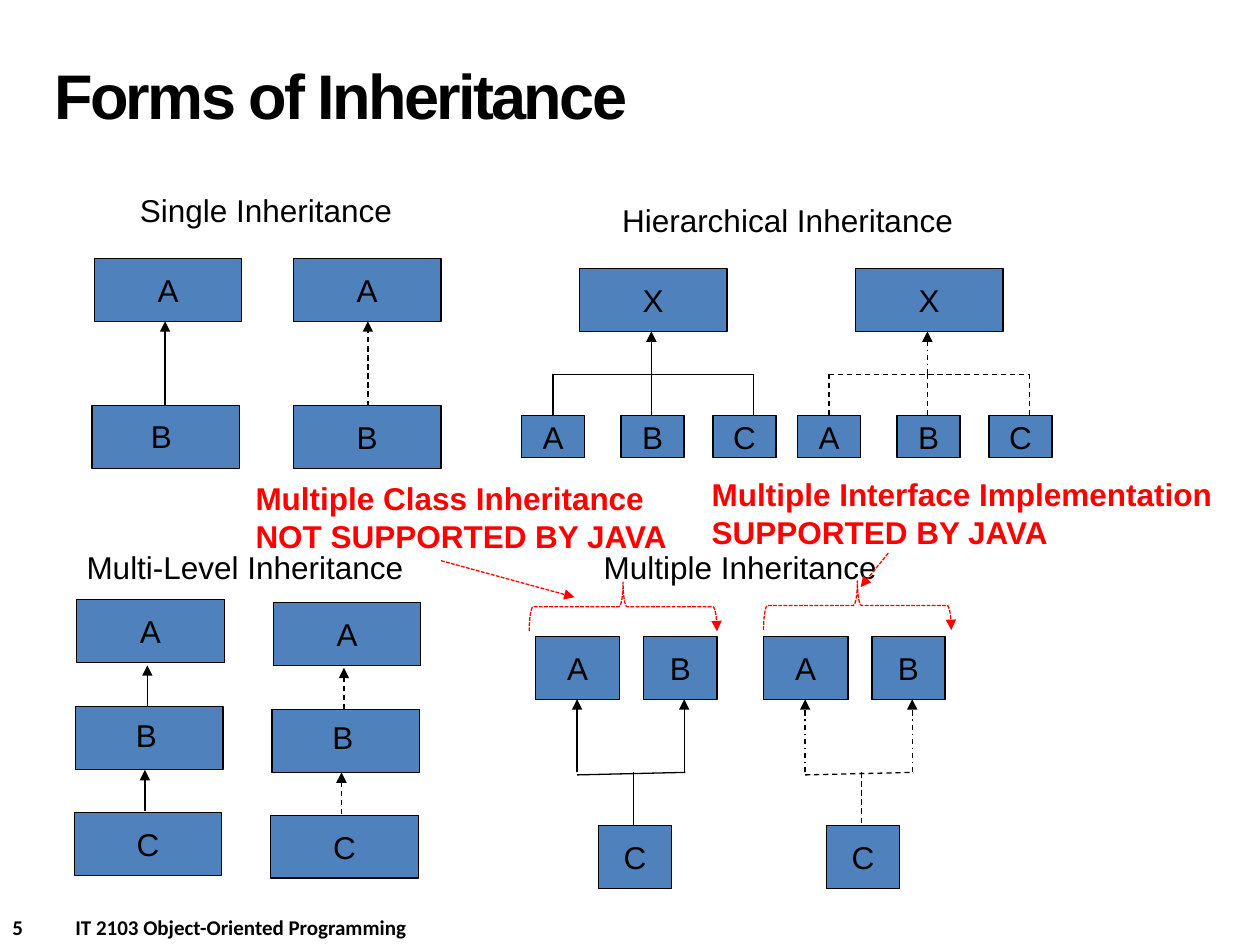
"""Builds the slide that compares the forms of inheritance."""
from dataclasses import dataclass

from lxml import etree
from pptx import Presentation
from pptx.dml.color import RGBColor
from pptx.enum import dml, shapes, text
from pptx.oxml import ns
from pptx.util import Inches, Pt


@dataclass(frozen=True)
class Theme:
    ink: RGBColor = RGBColor(0, 0, 0)
    alert: RGBColor = RGBColor(255, 0, 0)
    fill: RGBColor = RGBColor(0x4F, 0x81, 0xBD)
    font: str = "Arial"
    footer_font: str = "Calibri"
    title: int = 36
    body: int = 18
    footer: int = 12
    stroke: float = 0.75


theme = Theme()
DASH = dml.MSO_LINE.DASH
DASH_DOT = dml.MSO_LINE.DASH_DOT
SHORT_DASH = dml.MSO_LINE.SQUARE_DOT
CENTER = text.PP_ALIGN.CENTER
LEFT = text.PP_ALIGN.LEFT


def write(frame, lines, align=LEFT, size=theme.body, color=theme.ink, bold=False, font=theme.font):
    frame.text = "\n".join(lines)
    for para in frame.paragraphs:
        para.alignment = align
        para.font.name = font
        para.font.size = Pt(size)
        para.font.bold = bold
        para.font.color.rgb = color


def stroke(shape, color=theme.ink, dash=None, arrow=False):
    shape.line.color.rgb = color
    shape.line.width = Pt(theme.stroke)
    if dash:
        shape.line.dash_style = dash
    if arrow:
        etree.SubElement(shape.line._get_or_add_ln(), ns.qn("a:tailEnd"), type="triangle")


deck = Presentation()
deck.slide_width, deck.slide_height = Inches(10), Inches(7.5)
page = deck.slides.add_slide(deck.slide_layouts[5])

title = page.shapes.title
title.left, title.top, title.width, title.height = map(Inches, (0.33, 0.17, 6.92, 1.25))
title.text_frame.vertical_anchor = text.MSO_ANCHOR.MIDDLE
title.text_frame.auto_size = text.MSO_AUTO_SIZE.NONE
write(title.text_frame, ["Forms of Inheritance"], size=theme.title, bold=True)
title_para = title.text_frame.paragraphs[0]
title_para.line_spacing = Pt(36)
title_para.runs[0].font._element.set("spc", "-150")

footer = page.shapes.add_textbox(Inches(0), Inches(7.21), Inches(5), Inches(0.3))
footer.text_frame.word_wrap = True
footer_para = footer.text_frame.paragraphs[0]
tabs = etree.SubElement(footer_para._p.get_or_add_pPr(), ns.qn("a:tabLst"))
etree.SubElement(tabs, ns.qn("a:tab"), pos=str(Inches(0.46)), algn="l")
write(footer.text_frame, ["5\tIT 2103 Object-Oriented Programming"],
      size=theme.footer, bold=True, font=theme.footer_font)

headings = [
    ("Single Inheritance", 0.72, 1.47, 2.78),
    ("Hierarchical Inheritance", 4.14, 1.55, 4.22),
    ("Multi-Level Inheritance", 0.58, 4.3, 2.73),
    ("Multiple Inheritance", 4.25, 4.3, 3.25),
]
boxes = [
    ("A", 0.75, 2.05, 1.17, 0.5),
    ("", 0.73, 3.22, 1.17, 0.5),
    ("A", 2.33, 2.05, 1.17, 0.5),
    ("B", 2.33, 3.22, 1.17, 0.5),
]
loose_labels = [(1.1, 3.26)]
links = [
    (1.31, 3.22, 1.31, 2.55, None, True),
    (2.92, 3.22, 2.92, 2.55, DASH, True),
]

for dx, branch, trunk in [(0, None, None), (2.19, DASH, DASH_DOT)]:
    boxes.append(("X", 4.6 + dx, 2.13, 1.17, 0.5))
    boxes += [(name, x + dx, 3.3, 0.5, 0.33) for name, x in zip("ABC", (4.14, 4.93, 5.66))]
    links.append((5.17 + dx, 2.97, 5.17 + dx, 2.63, trunk, True))
    links.append((4.39 + dx, 2.97, 5.98 + dx, 2.97, branch, False))
    links += [(x + dx, 2.97, x + dx, 3.3, branch, False) for x in (4.39, 5.17, 5.98)]

for dx, dy, dash in [(0, 0, None), (1.56, 0.02, DASH)]:
    for name, x, y in [("A", 0.61, 4.76), ("", 0.6, 5.61), ("C", 0.59, 6.45)]:
        boxes.append((name, x + dx, y + dy, 1.17, 0.5))
    loose_labels.append((0.98 + dx, 5.63 + dy))
    for x, y in [(1.17, 5.61), (1.15, 6.44)]:
        links.append((x + dx, y + dy, x + dx, y + dy - 0.33, dash, True))

for dx, branch, trunk in [(0, None, None), (1.81, DASH_DOT, DASH)]:
    for name, x, y, width in [("A", 4.25, 5.05, 0.67), ("B", 5.11, 5.05, 0.58), ("C", 4.75, 6.55, 0.58)]:
        boxes.append((name, x + dx, y, width, 0.5))
    links += [(x + dx, 6.13, x + dx, 5.55, branch, True) for x in (4.58, 5.43)]
    links.append((4.58 + dx, 6.15, 5.44 + dx, 6.13, trunk, False))
    links.append((5.03 + dx, 6.13, 5.03 + dx, 6.55, trunk, False))

for name, *place in boxes:
    box = page.shapes.add_shape(shapes.MSO_SHAPE.RECTANGLE, *map(Inches, place))
    box.shadow.inherit = False
    box.fill.solid()
    box.fill.fore_color.rgb = theme.fill
    stroke(box)
    if name:
        box.text_frame.word_wrap = False
        box.text_frame.vertical_anchor = text.MSO_ANCHOR.MIDDLE
        write(box.text_frame, [name], CENTER)

for x, y in loose_labels:
    label = page.shapes.add_textbox(Inches(x), Inches(y), Inches(0.37), Inches(0.4))
    label.text_frame.word_wrap = False
    write(label.text_frame, ["B"])

for words, x, y, width in headings:
    heading = page.shapes.add_textbox(Inches(x), Inches(y), Inches(width), Inches(0.4))
    heading.text_frame.word_wrap = True
    write(heading.text_frame, [words], CENTER)

for words, x, y, width in [
    (["Multiple Class Inheritance", "NOT SUPPORTED BY JAVA"], 1.93, 3.75, 3.5),
    (["Multiple Interface Implementation", "SUPPORTED BY JAVA"], 5.55, 3.72, 4.21),
]:
    notice = page.shapes.add_textbox(Inches(x), Inches(y), Inches(width), Inches(0.71))
    notice.text_frame.word_wrap = False
    write(notice.text_frame, words, color=theme.alert, bold=True)

pointers = [(3.5, 4.45, 4.56, 4.74, SHORT_DASH, True), (7.05, 4.39, 6.83, 4.66, SHORT_DASH, True)]
for color, group in [(theme.ink, links), (theme.alert, pointers)]:
    for *ends, dash, arrow in group:
        link = page.shapes.add_connector(shapes.MSO_CONNECTOR.STRAIGHT, *map(Inches, ends))
        stroke(link, color, dash, arrow)
        etree.SubElement(link._element.spPr, ns.qn("a:effectLst"))

for x, y in [(4.75, 4.07), (6.61, 4.06)]:
    brace = page.shapes.add_shape(
        shapes.MSO_SHAPE.RIGHT_BRACE, Inches(x), Inches(y), Inches(0.39), Inches(1.49))
    brace.rotation = 270
    brace.shadow.inherit = False
    brace.fill.background()
    stroke(brace, theme.alert, SHORT_DASH, True)

deck.save("out.pptx")
